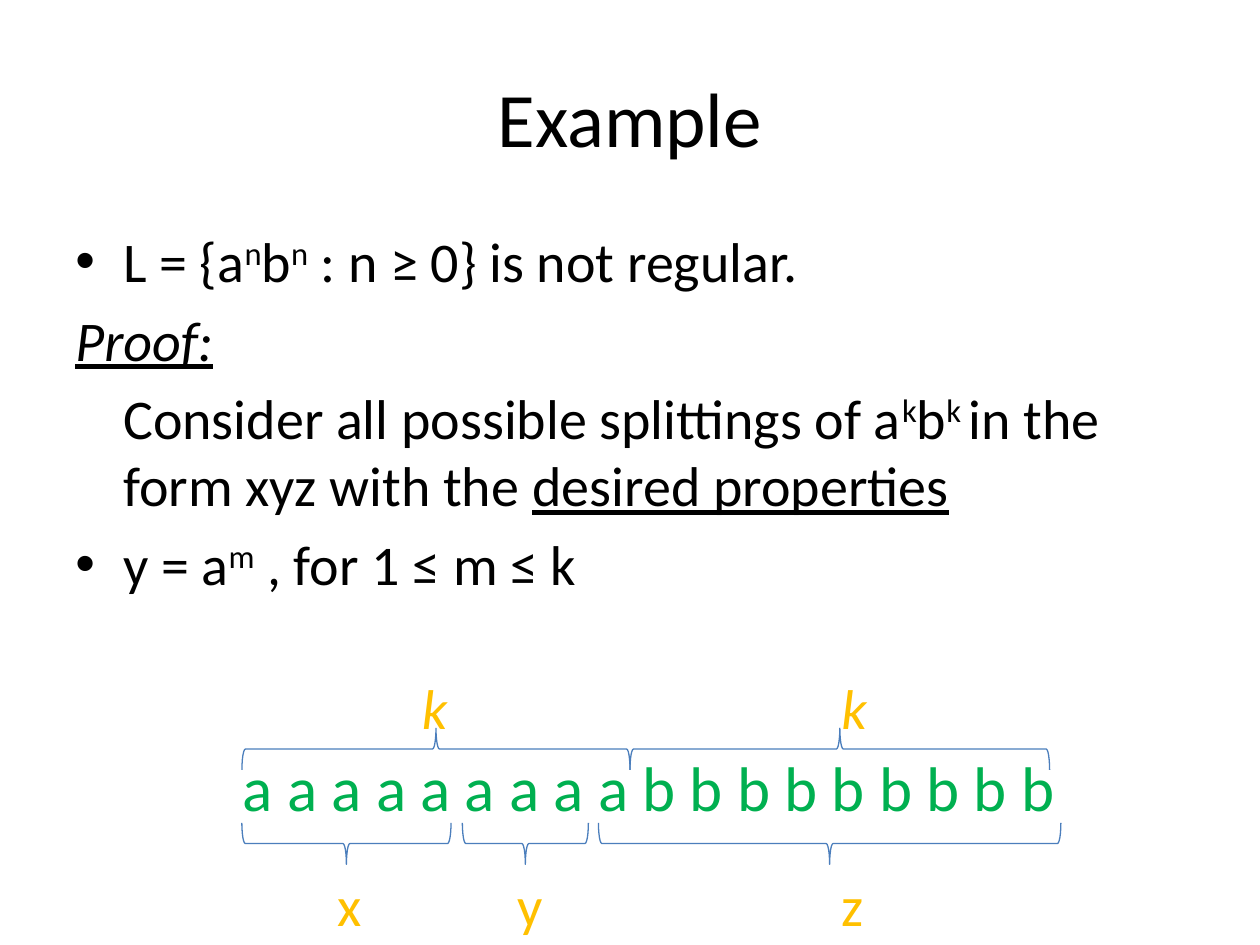
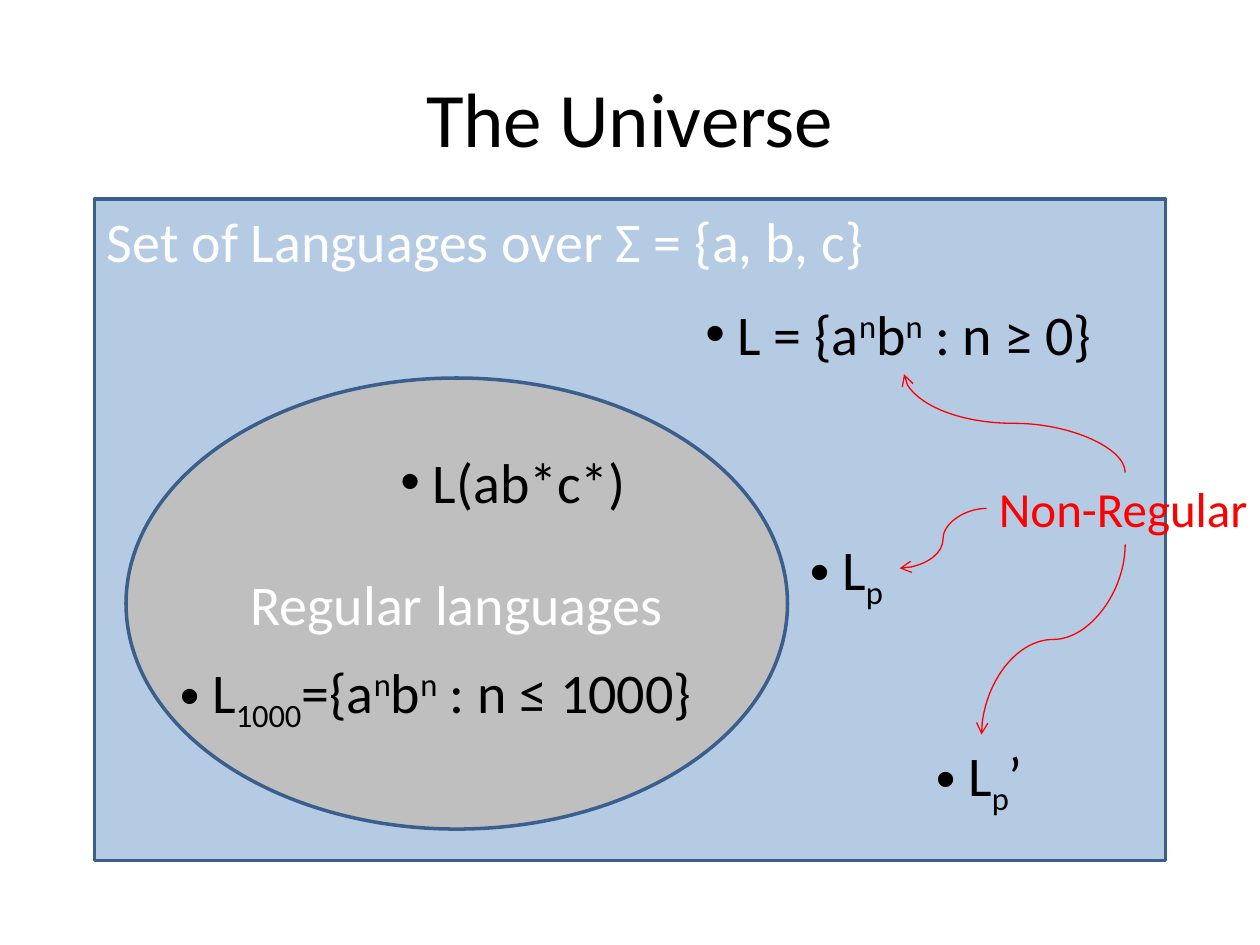
import math
from dataclasses import dataclass

import lxml.etree
import pptx
import pptx.dml.color
import pptx.enum.shapes
import pptx.enum.text
import pptx.oxml.ns
import pptx.util

Inches = pptx.util.Inches
Pt = pptx.util.Pt
qn = pptx.oxml.ns.qn
SHAPE = pptx.enum.shapes.MSO_SHAPE
CURVE = pptx.enum.shapes.MSO_CONNECTOR.CURVE
ALIGN = pptx.enum.text.PP_ALIGN
ANCHOR = pptx.enum.text.MSO_ANCHOR
AUTO_SIZE = pptx.enum.text.MSO_AUTO_SIZE


@dataclass(frozen=True)
class Theme:
    """Colours, type sizes and line widths shared by the slides."""

    font: str = "Calibri"
    ink: str = "000000"
    white: str = "FFFFFF"
    word: str = "00B050"
    label: str = "FFC000"
    alert: str = "FF0000"
    universe: str = "4F81BD"
    regular: str = "BFBFBF"
    outline: str = "3A5F8C"
    brace: str = "4B7EBC"
    title_size: int = 44
    word_size: int = 36
    body_size: int = 32
    note_size: int = 28
    thin: float = 0.75
    thick: float = 2


THEME = Theme()
MARKS = {
    "^": {"baseline": "30000"},
    "_": {"baseline": "-25000"},
    "~": {"u": "sng"},
    "/": {"i": "1"},
    "!": {"i": "1", "u": "sng"},
}
ANBN = "{a|^n|b|^n|"
LABEL_HEIGHT = 0.64
BRACE_DEPTH = 0.33
HANGING = 0.38
TOP, LEFT, BOTTOM, RIGHT = range(4)


def rgb(colour):
    """Turn a hex string into a colour."""
    return pptx.dml.color.RGBColor.from_string(colour)


def append(parent, tag, **attributes):
    """Append a drawing element with the given attributes."""
    lxml.etree.SubElement(parent, qn(tag), attributes)


def write(paragraph, markup, size=THEME.body_size, colour=THEME.ink):
    """Write runs divided by bars, each styled by its leading mark."""
    for piece in markup.split("|"):
        style = MARKS.get(piece[0], {})
        run = paragraph.add_run()
        run.text = piece[1:] if style else piece
        run.font.name = THEME.font
        run.font.size = Pt(size)
        run.font.color.rgb = rgb(colour)
        for attribute, value in style.items():
            run.font._element.set(attribute, value)


def indent(paragraph, margin, first=0):
    """Set the left margin and first-line indent in inches."""
    properties = paragraph._p.get_or_add_pPr()
    properties.set("marL", str(Inches(margin)))
    properties.set("indent", str(Inches(first)))


def add_bullet(paragraph):
    """Give the paragraph a round bullet."""
    properties = paragraph._p.get_or_add_pPr()
    append(properties, "a:buFont", typeface="Arial")
    append(properties, "a:buChar", char="•")


def add_frame(slide, box, wrap=True):
    """Add a text box and return its text frame."""
    frame = slide.shapes.add_textbox(*map(Inches, box)).text_frame
    frame.word_wrap = wrap
    return frame


def write_centred(frame, markup, size, colour):
    """Write one paragraph in the middle of a text frame."""
    frame.vertical_anchor = ANCHOR.MIDDLE
    frame.paragraphs[0].alignment = ALIGN.CENTER
    write(frame.paragraphs[0], markup, size, colour)


def add_label(slide, box, markup, size=THEME.body_size, colour=THEME.ink, bullet=False):
    """Add a one-line label that fits its text and return its shape."""
    label = slide.shapes.add_textbox(*map(Inches, box))
    label.text_frame.word_wrap = False
    label.text_frame.auto_size = AUTO_SIZE.SHAPE_TO_FIT_TEXT
    line = label.text_frame.paragraphs[0]
    write(line, markup, size, colour)
    if bullet:
        add_bullet(line)
    return label


def add_outlined(slide, kind, box, colour, width, fill=None):
    """Add a preset shape with an outline and an optional fill."""
    shape = slide.shapes.add_shape(kind, *map(Inches, box))
    shape.shadow.inherit = False
    shape.line.color.rgb = rgb(colour)
    shape.line.width = Pt(width)
    if fill:
        shape.fill.solid()
        shape.fill.fore_color.rgb = rgb(fill)
    else:
        shape.fill.background()
    return shape


def add_brace(slide, left, right, top, rotation):
    """Add a brace turned to lie flat from left to right."""
    span = right - left
    upright_left = (left + right - BRACE_DEPTH) / 2
    upright_top = top + (BRACE_DEPTH - span) / 2
    brace = add_outlined(slide, SHAPE.LEFT_BRACE,
                         (upright_left, upright_top, BRACE_DEPTH, span),
                         THEME.brace, THEME.thin)
    brace.rotation = rotation


def turn_curve(arrow, rotation):
    """Rotate the frame of a curve while keeping both its ends in place."""
    centre_x = (arrow.begin_x + arrow.end_x) / 2
    centre_y = (arrow.begin_y + arrow.end_y) / 2
    reach_x, reach_y = arrow.begin_x - centre_x, arrow.begin_y - centre_y
    cos, sin = math.cos(math.radians(rotation)), math.sin(math.radians(rotation))
    turned_x = reach_x * cos + reach_y * sin
    turned_y = reach_y * cos - reach_x * sin
    arrow.begin_x, arrow.end_x = round(centre_x + turned_x), round(centre_x - turned_x)
    arrow.begin_y, arrow.end_y = round(centre_y + turned_y), round(centre_y - turned_y)
    arrow._element.spPr.find(qn("a:xfrm")).set("rot", str(rotation * 60000))


def add_curved_arrow(slide, source, source_side, target, target_side, rotation):
    """Join two labels by a curved arrow that leaves in the given direction."""
    arrow = slide.shapes.add_connector(CURVE, 0, 0, 0, 0)
    arrow.begin_connect(source, source_side)
    arrow.end_connect(target, target_side)
    turn_curve(arrow, rotation)
    arrow.line.color.rgb = rgb(THEME.alert)
    arrow.line.width = Pt(THEME.thin)
    properties = arrow._element.spPr
    append(properties.find(qn("a:ln")), "a:tailEnd", type="arrow")
    append(properties, "a:effectLst")


def add_proof(slide, box):
    """Write the claim and the steps of its proof."""
    steps = [
        (f"L = {ANBN} : n ≥ 0}} is not regular.", -HANGING, True),
        ("!Proof:", -HANGING, False),
        ("Consider all possible splittings of a|^k|b|^k |in the form xyz with the "
         "|~desired properties", 0, False),
        ("y = a|^m| , for 1 ≤ m ≤ k", -HANGING, True),
    ]
    frame = add_frame(slide, box)
    for index, (markup, first, bullet) in enumerate(steps):
        step = frame.add_paragraph() if index else frame.paragraphs[0]
        indent(step, HANGING, first)
        step.space_before = Pt(THEME.body_size * 0.2)
        write(step, markup)
        if bullet:
            add_bullet(step)


def add_brace_row(slide, origin, brace_top, label_top, rotation, spans):
    """Add a row of braces, each with the label of its span."""
    left, top = origin
    for name, start, end, label_left in spans:
        add_brace(slide, left + start, left + end, top + brace_top, rotation)
        add_label(slide, (left + label_left, top + label_top, 0.4, LABEL_HEIGHT),
                  name, colour=THEME.label)


def add_split_word(slide, box):
    """Show the word with its two halves above and its split below."""
    word = add_frame(slide, box).paragraphs[0]
    indent(word, 1)
    write(word, " ".join("a" * 9 + "b" * 9), THEME.word_size, THEME.word)
    halves = [("/k", 1.09, 4.17, 2.42), ("/k", 4.17, 7.5, 5.75)]
    split = [("x", 1.09, 2.75, 1.75), ("y", 2.84, 3.84, 3.18), ("z", 3.92, 7.59, 5.75)]
    add_brace_row(slide, box[:2], -0.11, -0.59, 90, halves)
    add_brace_row(slide, box[:2], 0.64, 0.97, 270, split)


def add_sets(slide, box):
    """Draw the set of all languages around the regular ones."""
    left, top = box[:2]
    universe = add_outlined(slide, SHAPE.RECTANGLE, box, THEME.outline, THEME.thick,
                            THEME.universe)
    append(universe._element.spPr.find(qn("a:solidFill"))[0], "a:alpha", val="42000")
    regular = add_outlined(slide, SHAPE.OVAL, (left + 0.25, top + 1.42, 5.25, 3.58),
                           THEME.outline, THEME.thick, THEME.regular)
    write_centred(regular.text_frame, "Regular languages", THEME.body_size, THEME.white)
    add_label(slide, (left, top + 0.01, 6.27, LABEL_HEIGHT),
              "Set of Languages over Σ = {a, b, c}", colour=THEME.white)


def add_languages(slide, box):
    """Place the languages and point from the note to the non-regular ones."""
    left, top = box[:2]
    places = {
        f" L = {ANBN} : n ≥ 0}}": (4.75, 0.75, 3.35),
        " L|_p": (5.58, 2.61, 0.81),
        " L|_p|’": (6.58, 4.25, 0.92),
        " L(ab*c*)": (2.33, 1.92, 2.01),
        f" L|_1000|={ANBN} : n ≤ 1000}}": (0.58, 3.59, 4.68),
    }
    anbn, primes, primes_variant, *_ = [
        add_label(slide, (left + x, top + y, width, LABEL_HEIGHT), markup, bullet=True)
        for markup, (x, y, width) in places.items()
    ]
    non_regular = add_label(slide, (left + 7.08, top + 2.17, 2.2, 0.57), "Non-Regular",
                            THEME.note_size, THEME.alert)
    add_curved_arrow(slide, non_regular, TOP, anbn, BOTTOM, 270)
    add_curved_arrow(slide, non_regular, LEFT, primes, RIGHT, 180)
    add_curved_arrow(slide, non_regular, BOTTOM, primes_variant, TOP, 90)


def add_slide(deck, title):
    """Add a blank slide with a title."""
    slide = deck.slides.add_slide(deck.slide_layouts[6])
    write_centred(add_frame(slide, (0.5, 0.3, 9, 1.25)), title,
                  THEME.title_size, THEME.ink)
    return slide


def main():
    """Build and save the two slides."""
    deck = pptx.Presentation()
    deck.slide_width, deck.slide_height = Inches(10), Inches(7.5)
    example = add_slide(deck, "Example")
    add_proof(example, (0.5, 1.75, 9, 5.75))
    add_split_word(example, (0.83, 5.89, 9, 1.31))
    universe = add_slide(deck, "The Universe")
    universe_box = (0.75, 1.58, 8.5, 5.25)
    add_sets(universe, universe_box)
    add_languages(universe, universe_box)
    deck.save("out.pptx")


if __name__ == "__main__":
    main()
